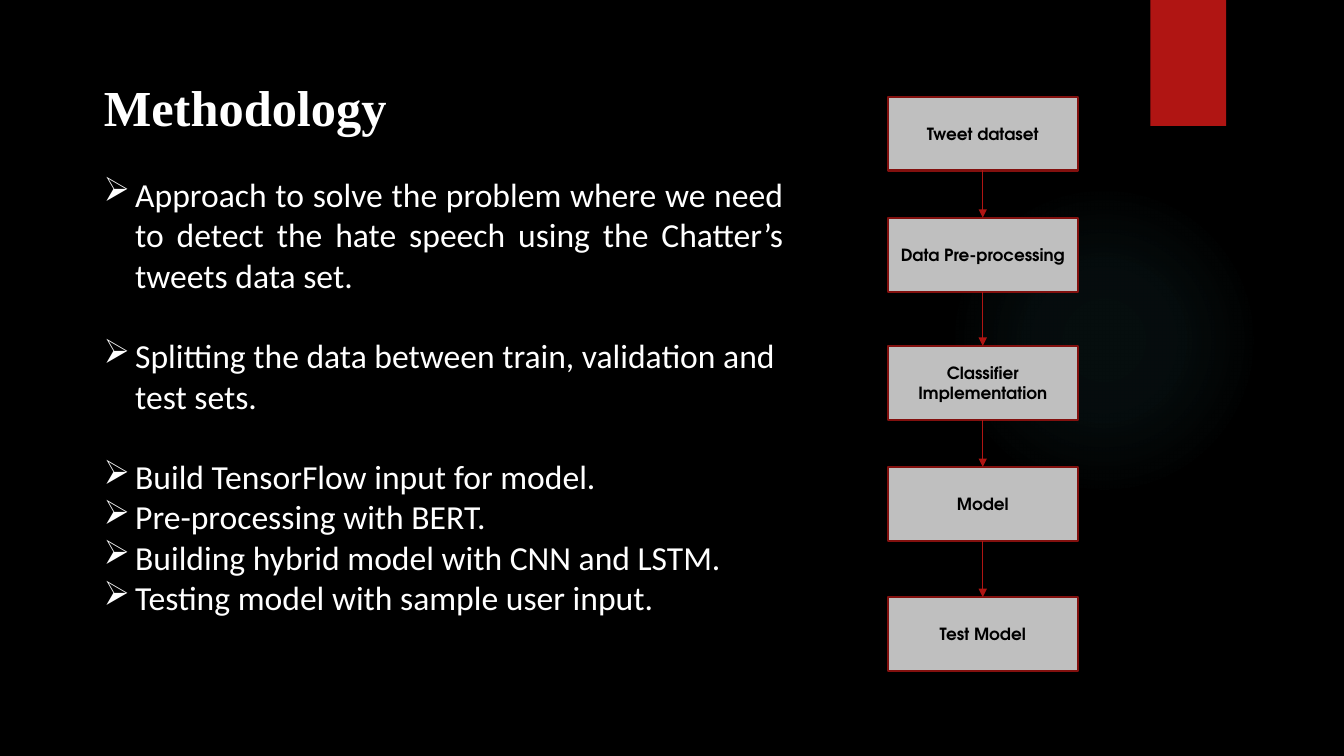
from lxml import etree
from pptx import Presentation
from pptx.dml.color import RGBColor
from pptx.enum.shapes import MSO_CONNECTOR as CONN, MSO_SHAPE as SHAPE
from pptx.enum.text import MSO_ANCHOR as ANCHOR, MSO_AUTO_SIZE as AUTO, PP_ALIGN as ALIGN
from pptx.oxml import parse_xml
from pptx.oxml.ns import nsdecls, qn
from pptx.util import Pt

BLACK = RGBColor(0x00, 0x00, 0x00)
WHITE = RGBColor(0xFF, 0xFF, 0xFF)
GREY = RGBColor(0xBF, 0xBF, 0xBF)
RED = RGBColor(0xB0, 0x15, 0x13)
DARK_RED = RGBColor(0x82, 0x10, 0x0E)
TEAL = RGBColor(0x50, 0xB9, 0xC1)

LEFT, TEXT_W = 67, 499.7
BOX_X, BOX_W, BOX_H = 634.3, 135.4, 52.8
LINE = 28.8
INDENT = 22.5

# Bullet text and the space above it
BULLETS = [
    ("Approach to solve the problem where we need to detect the hate speech "
     "using the Chatter’s tweets data set.", ALIGN.JUSTIFY, 0),
    ("Splitting the data between train, validation and test sets.", ALIGN.LEFT, LINE),
    ("Build TensorFlow input for model.", ALIGN.JUSTIFY, LINE),
    ("Pre-processing with BERT.", ALIGN.JUSTIFY, 0),
    ("Building hybrid model with CNN and LSTM.", ALIGN.JUSTIFY, 0),
    ("Testing model with sample user input.", ALIGN.JUSTIFY, 0),
]

# Flowchart steps and their top edges
STEPS = [
    ("Tweet dataset", 69),
    ("Data Pre-processing", 155.5),
    ("Classifier Implementation", 247),
    ("Model", 333.5),
    ("Test Model", 426.5),
]


def add_filled(kind, x, y, w, h, color):
    sp = s.shapes.add_shape(kind, Pt(x), Pt(y), Pt(w), Pt(h))
    sp.shadow.inherit = False
    sp.fill.solid()
    sp.fill.fore_color.rgb = color
    sp.line.fill.background()
    return sp


def format_run(p, font, size, color, bold):
    f = p.runs[0].font
    f.name, f.size, f.bold = font, Pt(size), bold
    f.color.rgb = color


prs = Presentation()
prs.slide_width, prs.slide_height = Pt(960), Pt(540)
s = prs.slides.add_slide(prs.slide_layouts[5])
s.background.fill.solid()
s.background.fill.fore_color.rgb = BLACK

# Faint glow and red ribbon
glow = add_filled(SHAPE.OVAL, 677.5, 131.8, 221.8, 221.8, TEAL)
stops = "".join(
    f'<a:gs pos="{pos}000"><a:srgbClr val="{TEAL}"><a:alpha val="{alpha}000"/></a:srgbClr></a:gs>'
    for pos, alpha in [(0, 7), (36, 6), (69, 0)])
solid = glow.element.spPr.find(qn("a:solidFill"))
solid.getparent().replace(solid, parse_xml(
    f'<a:gradFill {nsdecls("a")}><a:gsLst>{stops}</a:gsLst><a:path path="circle">'
    '<a:fillToRect l="50000" t="50000" r="50000" b="50000"/></a:path></a:gradFill>'))
add_filled(SHAPE.RECTANGLE, 821.8, 0, 54, 90, RED)

# Title
title = s.shapes.title
title.left, title.top, title.width, title.height = Pt(LEFT), Pt(50.4), Pt(TEXT_W), Pt(48.6)
tf = title.text_frame
tf.text = "Methodology"
tf.auto_size = AUTO.NONE
tf.vertical_anchor = ANCHOR.TOP
tf.paragraphs[0].alignment = ALIGN.LEFT
format_run(tf.paragraphs[0], "Times New Roman", 36, WHITE, True)

# Bullets
body = s.shapes.add_textbox(Pt(LEFT), Pt(120.6), Pt(TEXT_W), Pt(359))
tf = body.text_frame
tf.word_wrap = True
for i, (text, align, gap) in enumerate(BULLETS):
    p = tf.paragraphs[0] if i == 0 else tf.add_paragraph()
    p.text = text
    p.alignment = align
    p.line_spacing = Pt(LINE)
    p.space_before = Pt(gap)
    format_run(p, "Calibri", 24, WHITE, False)
    pPr = p._p.get_or_add_pPr()
    pPr.set("marL", str(Pt(INDENT)))
    pPr.set("indent", str(-Pt(INDENT)))
    etree.SubElement(pPr, qn("a:buChar")).set("char", "➢")

# Flowchart boxes
boxes = []
for text, top in STEPS:
    box = add_filled(SHAPE.RECTANGLE, BOX_X, top, BOX_W, BOX_H, GREY)
    box.line.color.rgb = DARK_RED
    box.line.width = Pt(1.5)
    tf = box.text_frame
    tf.word_wrap = True
    tf.vertical_anchor = ANCHOR.MIDDLE
    tf.text = text
    tf.paragraphs[0].alignment = ALIGN.CENTER
    format_run(tf.paragraphs[0], "TeX Gyre Adventor", 12, BLACK, True)
    boxes.append(box)

# Arrows from each box to the next
for upper, lower in zip(boxes, boxes[1:]):
    arrow = s.shapes.add_connector(CONN.STRAIGHT, 0, 0, 0, 0)
    arrow.begin_connect(upper, 2)
    arrow.end_connect(lower, 0)
    arrow.line.color.rgb = RED
    arrow.line.width = Pt(0.75)
    etree.SubElement(arrow.line._get_or_add_ln(), qn("a:tailEnd")).set("type", "triangle")
    etree.SubElement(arrow._element.spPr, qn("a:effectLst"))

prs.save("out.pptx")
